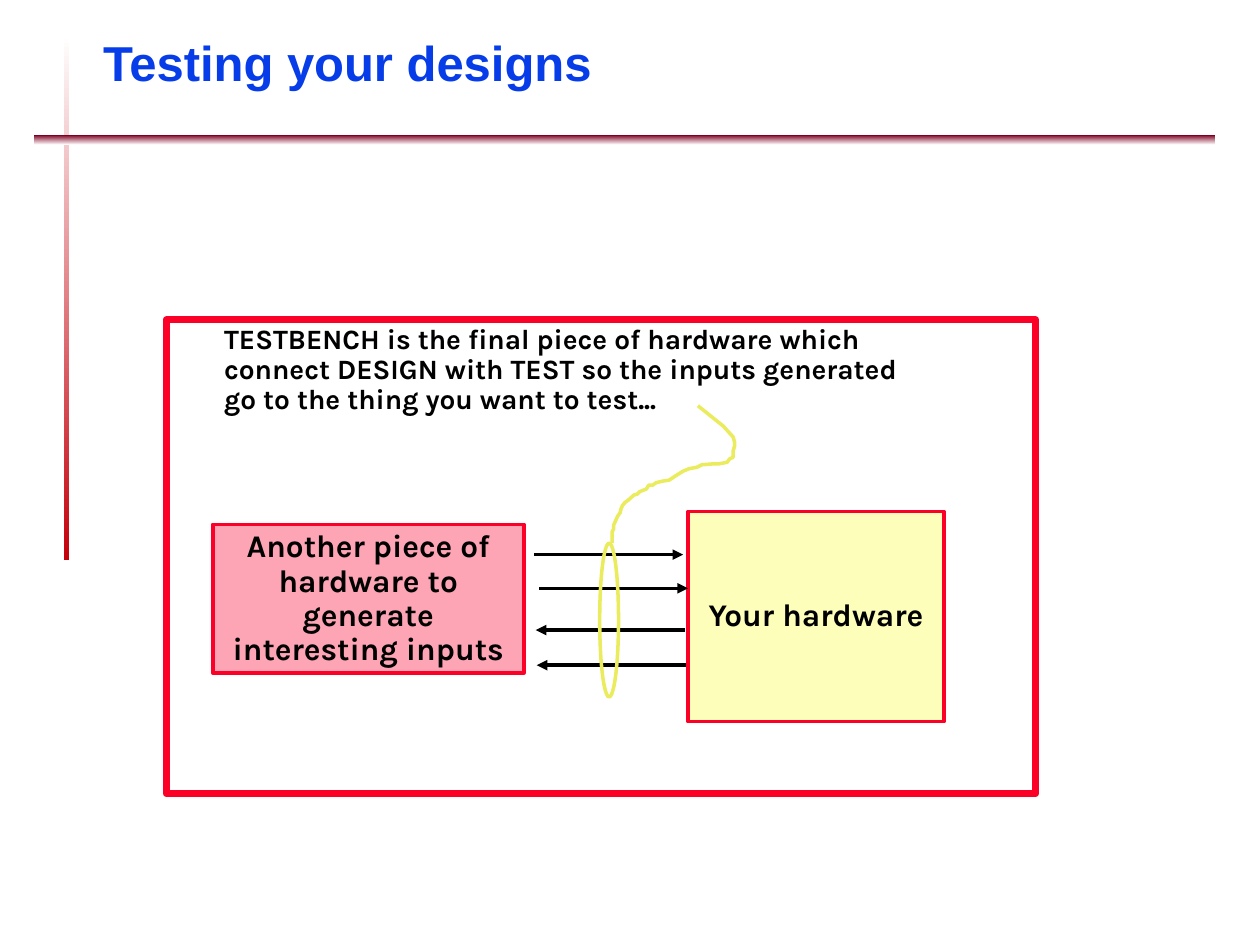
from lxml.etree import SubElement as Sub
from pptx import Presentation
from pptx.dml.color import RGBColor
from pptx.enum.shapes import MSO_CONNECTOR as Link, MSO_SHAPE as Kind
from pptx.enum.text import MSO_ANCHOR as Anchor, PP_ALIGN as Align
from pptx.oxml.ns import qn
from pptx.util import Cm, Pt

ink = RGBColor.from_string


def paint(shape, fill=None, line=None, width=2):
    shape.shadow.inherit = False
    if fill:
        shape.fill.solid()
        shape.fill.fore_color.rgb = ink(fill)
    else:
        shape.fill.background()
    shape.line.color.rgb = ink(line)
    shape.line.width = Pt(width)


def write(shape, text, size=18, font="Karla", color="000000", align=Align.CENTER,
          anchor=Anchor.TOP, space=0.9, pad=(0.25, 0.13)):
    frame = shape.text_frame
    frame.word_wrap = True
    frame.vertical_anchor = anchor
    frame.margin_left = frame.margin_right = Cm(pad[0])
    frame.margin_top = frame.margin_bottom = Cm(pad[1])
    frame.text = text
    for para in frame.paragraphs:
        para.alignment = align
        para.line_spacing = space
        para.font.size = Pt(size)
        para.font.name = font
        para.font.bold = True
        para.font.color.rgb = ink(color)


deck = Presentation()
deck.slide_width, deck.slide_height = Cm(25.4), Cm(19.05)
shapes = deck.slides.add_slide(deck.slide_layouts[6]).shapes

for box, color, angle in [
    ((1.3, 0.71, 0.1, 10.59), "C5000B", 270),
    ((0.69, 2.72, 23.8, 0.2), "7E0021", 90),
]:
    bar = shapes.add_shape(Kind.RECTANGLE, *map(Cm, box))
    bar.shadow.inherit = False
    bar.line.fill.background()
    bar.fill.gradient()
    bar.fill.gradient_angle = angle
    for stop, tone in zip(bar.fill.gradient_stops, ("FFFFFF", color)):
        stop.color.rgb = ink(tone)

title = shapes.add_textbox(Cm(1.9), Cm(0.74), Cm(21.79), Cm(3.33))
write(title, "Testing your designs", size=28, font="Arial", color="063DE8",
      align=Align.LEFT, space=0.87, pad=(0.18, 0.08))

design = shapes.add_shape(Kind.RECTANGLE, Cm(13.87), Cm(10.31), Cm(5.16), Cm(4.24))
paint(design, fill="FCFEB9", line="FC0128")
write(design, "Your hardware", anchor=Anchor.MIDDLE)

bench = shapes.add_shape(Kind.RECTANGLE, Cm(3.35), Cm(6.45), Cm(17.53), Cm(9.55))
paint(bench, line="FC0128", width=4)

note = shapes.add_textbox(Cm(4.27), Cm(6.43), Cm(14.73), Cm(2.08))
write(note, "TESTBENCH is the final piece of hardware which\n"
      "connect DESIGN with TEST so the inputs generated\n"
      "go to the thing you want to test...", size=16, align=Align.LEFT)

for x, y, end in [
    (10.77, 11.18, "tailEnd"),
    (10.87, 11.86, "tailEnd"),
    (10.8, 12.7, "headEnd"),
    (10.82, 13.41, "headEnd"),
]:
    wire = shapes.add_connector(Link.STRAIGHT, Cm(x), Cm(y), Cm(x + 3), Cm(y))
    wire.line.color.rgb = ink("000000")
    wire.line.width = Pt(2)
    Sub(wire.line._get_or_add_ln(), qn("a:" + end), type="triangle")
    Sub(wire._element.spPr, qn("a:effectLst"))

curve = [
    (1407, 818), (1458, 859), (1478, 881), (1481, 892), (1481, 899), (1478, 909),
    (1478, 922), (1471, 925), (1466, 932), (1450, 935), (1440, 935), (1415, 937),
    (1405, 942), (1389, 945), (1377, 950), (1361, 960), (1349, 968), (1336, 970),
    (1323, 973), (1316, 978), (1308, 978), (1303, 986), (1290, 991), (1285, 996),
    (1278, 998), (1267, 1008), (1260, 1013), (1255, 1019), (1252, 1026),
    (1250, 1034), (1245, 1041), (1237, 1059), (1237, 1067), (1234, 1072),
    (1234, 1095),
]
pen = shapes.build_freeform(*curve[0], scale=Cm(0.01))
pen.add_line_segments(curve[1:], close=False)
paint(pen.convert_to_shape(), line="EAEC5E")

ring = shapes.add_shape(Kind.OVAL, Cm(12.09), Cm(10.95), Cm(0.38), Cm(3.1))
paint(ring, line="EAEC5E")

test = shapes.add_shape(Kind.RECTANGLE, Cm(4.29), Cm(10.57), Cm(6.27), Cm(3))
paint(test, fill="FDA4B5", line="FC0128")
write(test, "Another piece of hardware to generate interesting inputs")

deck.save("out.pptx")
